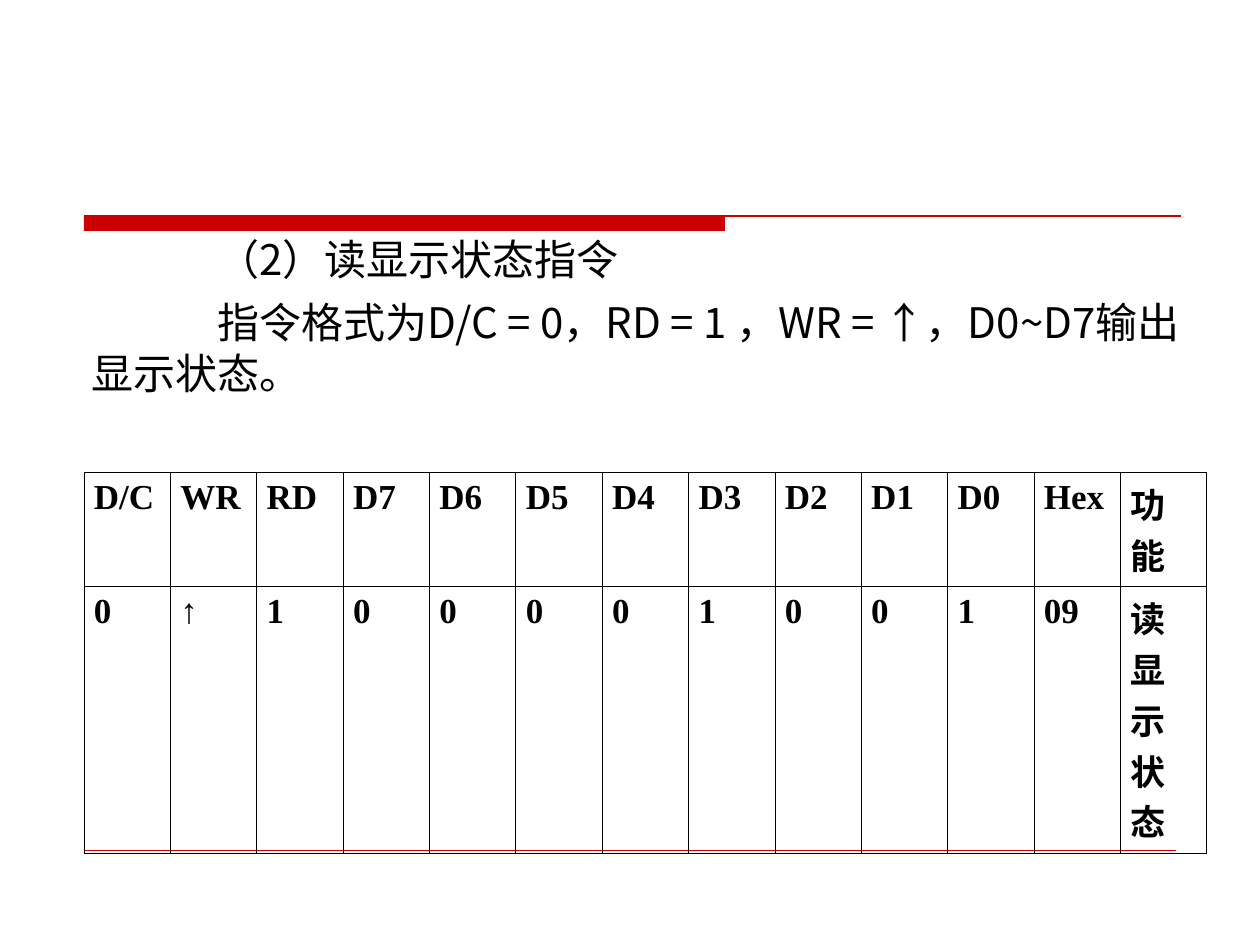
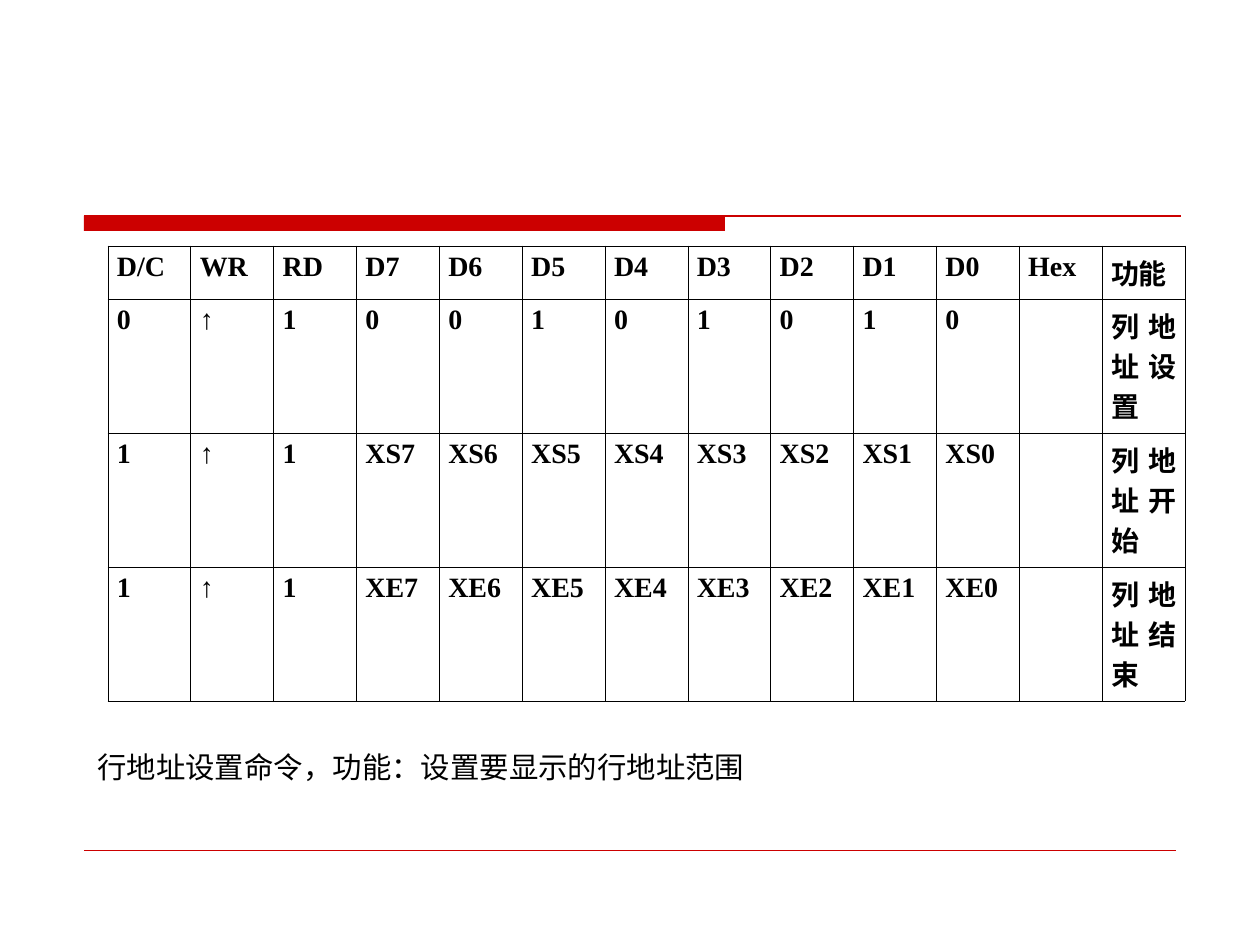
from lxml.etree import SubElement
from pptx import Presentation
from pptx.dml.color import RGBColor
from pptx.enum.shapes import MSO_CONNECTOR, MSO_SHAPE
from pptx.enum.text import PP_ALIGN
from pptx.oxml.ns import qn
from pptx.util import Emu, Pt

COLORS = {"red": "CC0000", "ink": "000000"}
SANS = "Noto Sans CJK SC"
SERIF = "Times New Roman"
HEAD = ["D/C", "WR", "RD", *(f"D{n}" for n in range(7, -1, -1)), "Hex", "功能"]


def px(count):
    return Emu(round(count * 914400 / 126))


def color(name):
    return RGBColor.from_string(COLORS[name])


def add_run(para, text, size, font, bold=False):
    para.alignment = PP_ALIGN.JUSTIFY
    run = para.add_run()
    run.text = text
    run.font.size = Pt(size)
    run.font.bold = bold
    run.font.color.rgb = color("ink")
    run.font.name = font
    SubElement(run.font._element, qn("a:ea"), typeface=SANS)


def add_rule(slide, y, left, right, weight):
    rule = slide.shapes.add_connector(
        MSO_CONNECTOR.STRAIGHT, px(left), px(y), px(right), px(y))
    rule.line.color.rgb = color("red")
    rule.line.width = Pt(weight)
    SubElement(rule._element.spPr, qn("a:effectLst"))


def add_frame(deck):
    """New slide with the red band and the two rules."""
    slide = deck.slides.add_slide(deck.slide_layouts[6])
    band = slide.shapes.add_shape(
        MSO_SHAPE.RECTANGLE, px(84), px(216), px(641), px(15))
    band.shadow.inherit = False
    band.fill.solid()
    band.fill.fore_color.rgb = color("red")
    band.line.fill.background()
    add_rule(slide, 216, 84, 1181, 0.75)
    add_rule(slide, 850, 84, 1176, 0.25)
    return slide


def add_body(slide, box, lines, size, indent=0, spacing=1.0):
    frame = slide.shapes.add_textbox(*map(px, box)).text_frame
    frame.word_wrap = True
    for i, text in enumerate(lines):
        para = frame.add_paragraph() if i else frame.paragraphs[0]
        para.space_before = Pt(7.6)
        para.line_spacing = spacing
        add_run(para, text, size, SANS)
        if indent:
            para._p.get_or_add_pPr().set("indent", str(px(indent)))


def add_border(cell):
    props = cell._tc.get_or_add_tcPr()
    for i, side in enumerate(("lnL", "lnR", "lnT", "lnB")):
        line = SubElement(props, qn(f"a:{side}"), w=str(Pt(0.45)))
        fill = SubElement(line, qn("a:solidFill"))
        SubElement(fill, qn("a:srgbClr"), val=COLORS["ink"])
        props.insert(i, line)  # borders come before the fill


def add_grid(slide, left, top, width, heights, rows, size, pad):
    cols = len(HEAD)
    table = slide.shapes.add_table(
        len(rows), cols, px(left), px(top), px(width), px(sum(heights))).table
    table.first_row = table.horz_banding = False
    for col in table.columns:
        col.width = px(width / cols)
    for row, height, texts in zip(table.rows, heights, rows):
        row.height = px(height)
        for cell, text in zip(row.cells, texts):
            cell.fill.background()
            cell.margin_left = cell.margin_right = px(pad)
            cell.margin_top = cell.margin_bottom = px(6)
            add_border(cell)
            if text:
                add_run(cell.text_frame.paragraphs[0], text, size, SERIF, True)


def add_status(deck):
    slide = add_frame(deck)
    add_body(slide, (79, 227, 1113, 197), [
        "（2）读显示状态指令",
        "指令格式为D/C = 0，RD = 1 ，WR = ↑，D0~D7输出显示状态。",
    ], 24, indent=126)
    rows = [HEAD, ["0", "↑", "1", *"00001001", "09", "读显示状态"]]
    add_grid(slide, 84, 472, 1123, [114, 267], rows, 20, 10)


def add_address(deck):
    slide = add_frame(deck)
    add_body(slide, (85, 750, 1113, 49),
             ["行地址设置命令，功能：设置要显示的行地址范围"], 16.8, spacing=0.8)
    rows = [HEAD, ["0", "↑", "1", *"00101010", "", "列地址设置"]]
    for mark, label in (("XS", "列地址开始"), ("XE", "列地址结束")):
        bits = [f"{mark}{n}" for n in range(7, -1, -1)]
        rows.append(["1", "↑", "1", *bits, "", label])
    add_grid(slide, 108, 246, 1077, [53, 134, 134, 134], rows, 16, 9)


def main():
    deck = Presentation()
    deck.slide_width, deck.slide_height = px(1260), px(945)
    add_status(deck)
    add_address(deck)
    deck.save("out.pptx")


if __name__ == "__main__":
    main()
